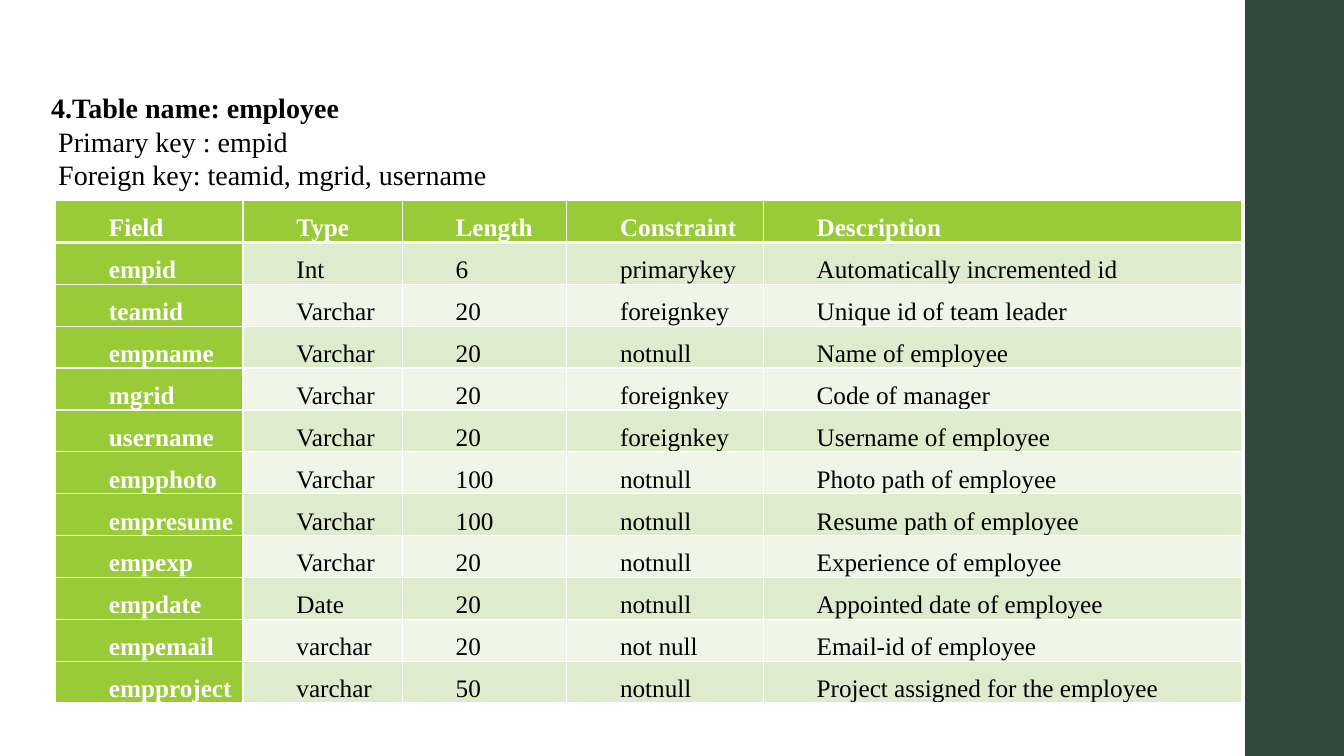
import dataclasses
import typing

import pptx
import pptx.dml.color
import pptx.enum.shapes
import pptx.enum.text
import pptx.oxml
import pptx.oxml.ns
import pptx.util


@dataclasses.dataclass(frozen=True)
class Theme:
    font: str = "Times New Roman"
    heading_size: int = 20
    table_size: int = 18
    black: str = "000000"
    white: str = "FFFFFF"
    sidebar: str = "34473D"
    accent: str = "99CB38"
    bands: tuple[str, str] = ("DEECCE", "EFF6E8")
    border: float = 1
    header_border: float = 3


@dataclasses.dataclass(frozen=True)
class Box:
    """A rectangle in percent of the slide's width and height."""
    left: float
    top: float
    width: float
    height: float


class HeadingLine(typing.NamedTuple):
    text: str
    indent: float
    bold: bool = False


class Field(typing.NamedTuple):
    name: str
    type: str
    length: str
    constraint: str
    description: str


THEME = Theme()
SLIDE_WIDTH = pptx.util.Inches(13.333)
SLIDE_HEIGHT = pptx.util.Inches(7.5)

SIDEBAR = Box(92.65, 0, 7.35, 100)
HEADING = Box(2.55, 11.33, 66.17, 14.8)
TABLE_LEFT, TABLE_TOP, ROW_HEIGHT = 4.13, 26.53, 4.93
COLUMN_WIDTHS = (13.95, 11.85, 12.23, 14.63, 35.63)
CELL_MARGIN, CELL_INDENT = 0.23, 3.75

HEADING_LINES = (
    HeadingLine("4.Table name: employee", 0.52, bold=True),
    HeadingLine("Primary key : empid", 1.04),
    HeadingLine("Foreign key: teamid, mgrid, username", 1.04),
)
FIELDS = (
    Field("Field", "Type", "Length", "Constraint", "Description"),
    Field("empid", "Int", "6", "primarykey", "Automatically incremented id"),
    Field("teamid", "Varchar", "20", "foreignkey", "Unique id of team leader"),
    Field("empname", "Varchar", "20", "notnull", "Name of employee"),
    Field("mgrid", "Varchar", "20", "foreignkey", "Code of manager"),
    Field("username", "Varchar", "20", "foreignkey", "Username of employee"),
    Field("empphoto", "Varchar", "100", "notnull", "Photo path of employee"),
    Field("empresume", "Varchar", "100", "notnull", "Resume path of employee"),
    Field("empexp", "Varchar", "20", "notnull", "Experience of employee"),
    Field("empdate", "Date", "20", "notnull", "Appointed date of employee"),
    Field("empemail", "varchar", "20", "not null", "Email-id of employee"),
    Field("empproject", "varchar", "50", "notnull", "Project assigned for the employee"),
)


def across(percent: float) -> int:
    return round(SLIDE_WIDTH * percent / 100)


def down(percent: float) -> int:
    return round(SLIDE_HEIGHT * percent / 100)


def place(box: Box) -> tuple[int, int, int, int]:
    return across(box.left), down(box.top), across(box.width), down(box.height)


def rgb(colour: str) -> pptx.dml.color.RGBColor:
    return pptx.dml.color.RGBColor.from_string(colour)


def write(paragraph, text: str, *, size: float, colour: str, bold: bool = False,
          indent: float = 0, alignment=None, line_spacing: float | None = None,
          space_after: float | None = None) -> None:
    properties = paragraph._p.get_or_add_pPr()
    properties.set("marL", str(across(indent)))
    properties.set("indent", "0")
    paragraph.alignment = alignment
    paragraph.line_spacing = line_spacing
    if space_after is not None:
        paragraph.space_after = pptx.util.Pt(space_after)
    run = paragraph.add_run()
    run.text = text
    run.font.name = THEME.font
    run.font.size = pptx.util.Pt(size)
    run.font.bold = bold
    run.font.color.rgb = rgb(colour)


def add_borders(cell, bottom: float) -> None:
    """Draw the cell's four edges; call this before setting its fill."""
    properties = cell._tc.get_or_add_tcPr()
    for side in "LRTB":
        width = pptx.util.Pt(bottom if side == "B" else THEME.border)
        properties.append(pptx.oxml.parse_xml(
            f'<a:ln{side} {pptx.oxml.ns.nsdecls("a")} w="{width}"><a:solidFill>'
            f'<a:srgbClr val="{THEME.white}"/></a:solidFill></a:ln{side}>'))


def draw_sidebar(slide) -> None:
    shape = slide.shapes.add_shape(
        pptx.enum.shapes.MSO_SHAPE.RECTANGLE, *place(SIDEBAR))
    shape.shadow.inherit = False
    shape.fill.solid()
    shape.fill.fore_color.rgb = rgb(THEME.sidebar)
    shape.line.fill.background()


def draw_heading(slide) -> None:
    frame = slide.shapes.add_textbox(*place(HEADING)).text_frame
    frame.word_wrap = True
    for index, line in enumerate(HEADING_LINES):
        paragraph = frame.add_paragraph() if index else frame.paragraphs[0]
        write(paragraph, line.text, size=THEME.heading_size, colour=THEME.black,
              bold=line.bold, indent=line.indent)


def draw_cell(cell, text: str, row: int, column: int) -> None:
    is_header = row == 0
    is_accent = is_header or column == 0
    is_last = column == len(COLUMN_WIDTHS) - 1
    add_borders(cell, THEME.header_border if is_header else THEME.border)
    cell.fill.solid()
    cell.fill.fore_color.rgb = rgb(THEME.accent if is_accent else THEME.bands[(row - 1) % 2])
    cell.margin_left = cell.margin_right = across(CELL_MARGIN)
    cell.margin_top = cell.margin_bottom = 0
    write(cell.text_frame.paragraphs[0], text, size=THEME.table_size,
          colour=THEME.white if is_accent else THEME.black, bold=is_accent,
          indent=CELL_INDENT, alignment=pptx.enum.text.PP_ALIGN.JUSTIFY,
          line_spacing=1.5, space_after=10 if is_last else None)


def draw_field_table(slide) -> None:
    box = Box(TABLE_LEFT, TABLE_TOP, sum(COLUMN_WIDTHS), ROW_HEIGHT * len(FIELDS))
    table = slide.shapes.add_table(len(FIELDS), len(COLUMN_WIDTHS), *place(box)).table
    table.first_row = table.horz_banding = False
    for column, width in zip(table.columns, COLUMN_WIDTHS):
        column.width = across(width)
    for row, field in enumerate(FIELDS):
        table.rows[row].height = down(ROW_HEIGHT)
        for column, text in enumerate(field):
            draw_cell(table.cell(row, column), text, row, column)


def main() -> None:
    presentation = pptx.Presentation()
    presentation.slide_width = SLIDE_WIDTH
    presentation.slide_height = SLIDE_HEIGHT
    slide = presentation.slides.add_slide(presentation.slide_layouts[6])
    draw_sidebar(slide)
    draw_field_table(slide)
    draw_heading(slide)
    presentation.save("out.pptx")


if __name__ == "__main__":
    main()
